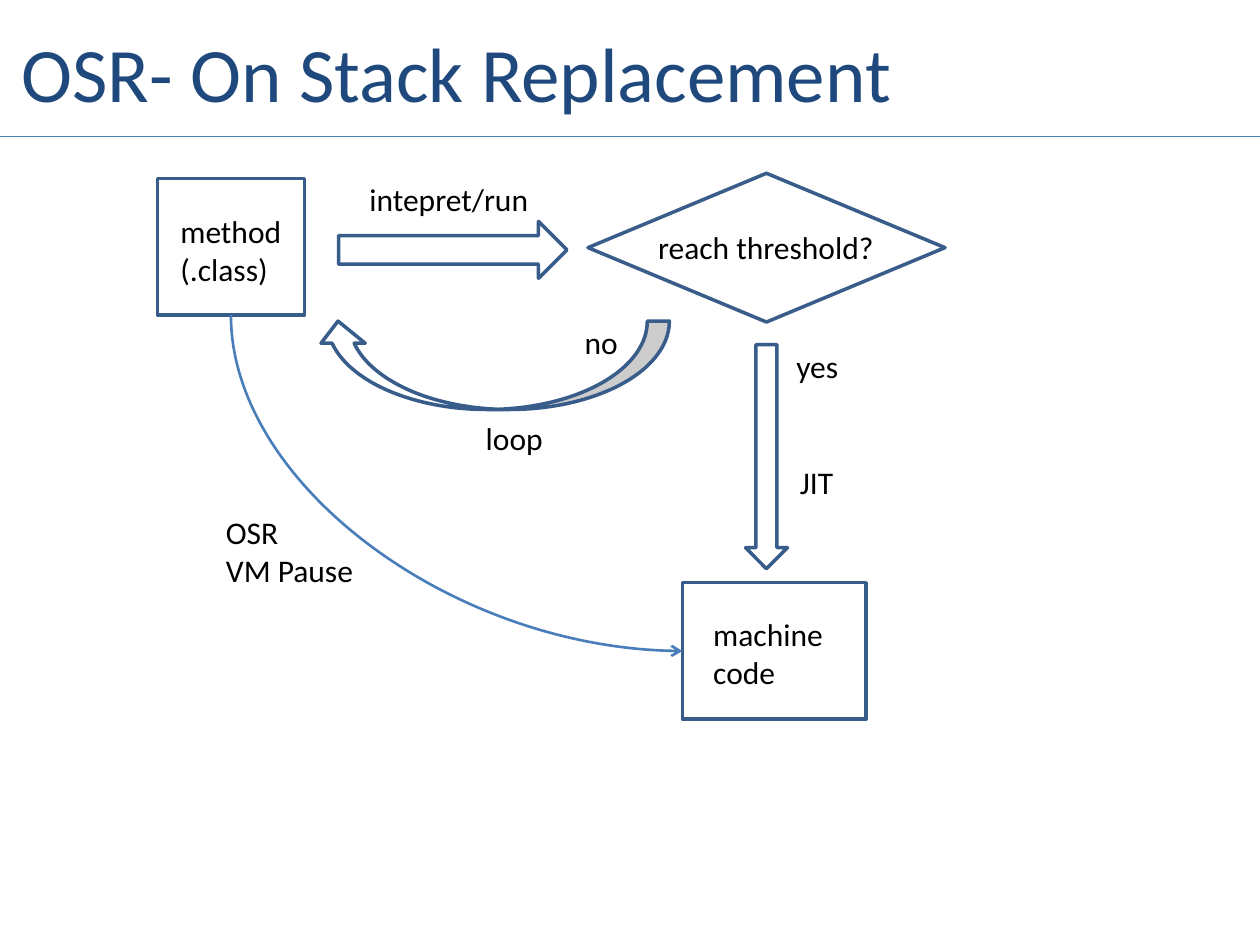
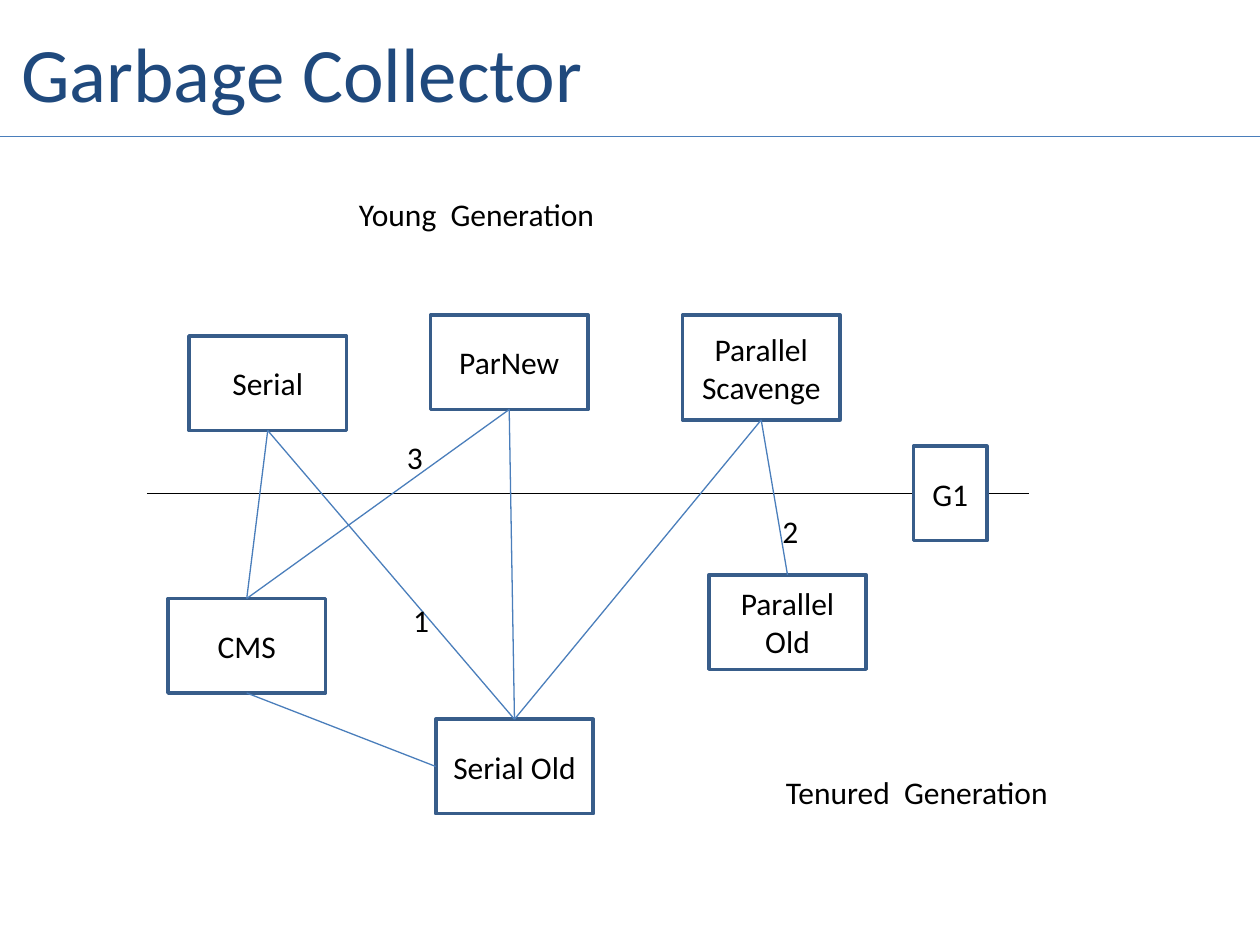
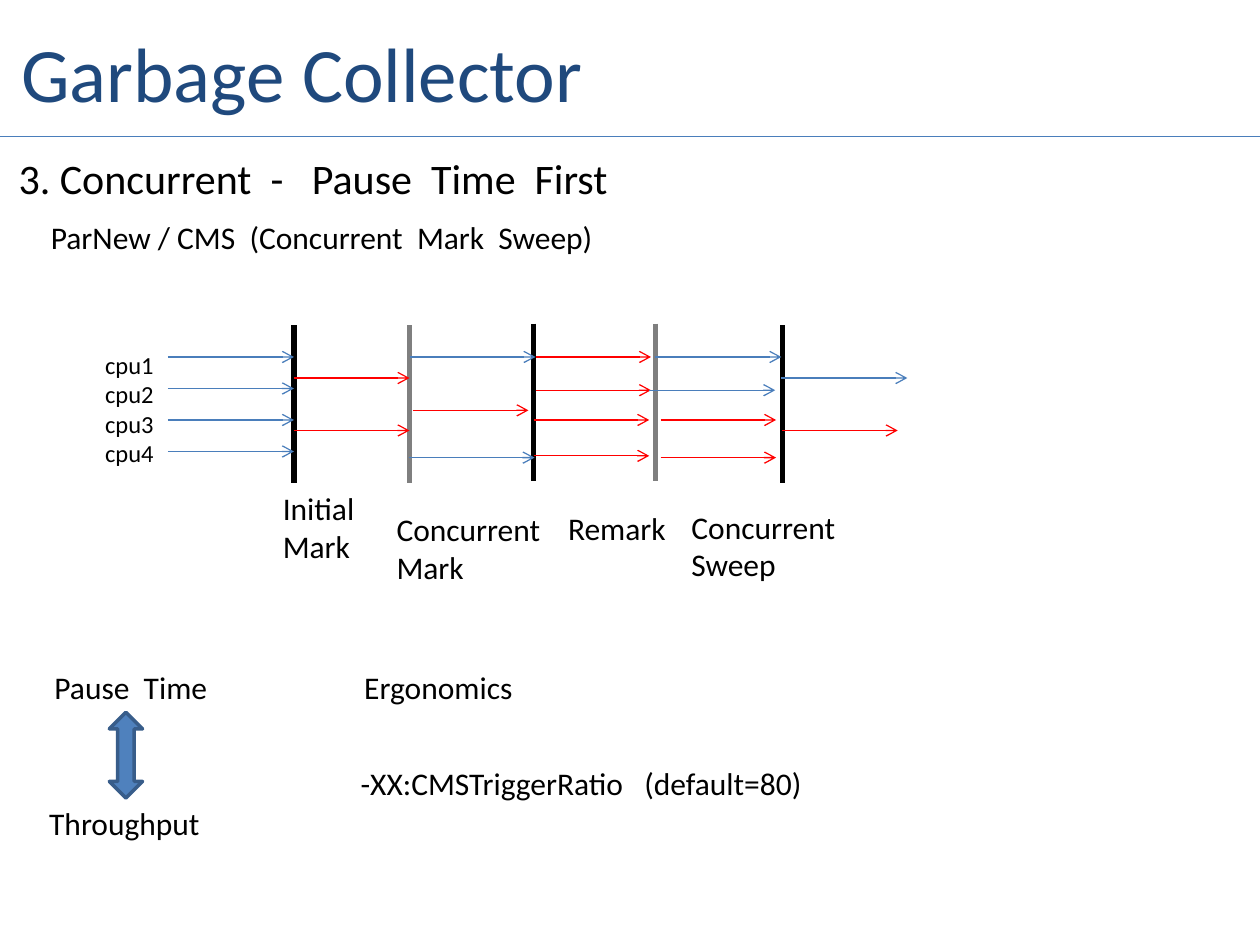
from dataclasses import dataclass

from lxml import etree
from pptx import Presentation
from pptx.dml.color import RGBColor
from pptx.enum import shapes, text
from pptx.oxml import ns
from pptx.util import Pt

FONT = "Calibri"
BLACK, WHITE, RED, GRAY = "000000", "FFFFFF", "FF0000", "7F7F7F"
TITLE_BLUE, LINE_BLUE, EDGE_BLUE, FILL_BLUE = "1F497D", "4A7EBB", "385D8A", "4F81BD"
Preset = shapes.MSO_SHAPE


@dataclass(frozen=True)
class Label:
    words: str
    left: float
    top: float
    width: float
    height: float = 29
    size: float = 18


@dataclass(frozen=True)
class Figure:
    left: float
    top: float
    width: float
    height: float
    words: str = ""
    preset: shapes.MSO_SHAPE = Preset.RECTANGLE
    fill: str = WHITE
    rotation: float = 0

    @property
    def top_mid(self) -> tuple[float, float]:
        return self.left + self.width / 2, self.top

    @property
    def bottom_mid(self) -> tuple[float, float]:
        return self.left + self.width / 2, self.top + self.height

    @property
    def left_mid(self) -> tuple[float, float]:
        return self.left, self.top + self.height / 2


@dataclass(frozen=True)
class Line:
    start: tuple[float, float]
    end: tuple[float, float]
    color: str = LINE_BLUE
    weight: float = 0.75
    arrow: bool = False


def rgb(color: str) -> RGBColor:
    return RGBColor.from_string(color)


def write(frame, words: str, size: float, color: str, align) -> None:
    frame.text = words
    frame.word_wrap = True
    for paragraph in frame.paragraphs:
        paragraph.alignment = align
        for run in paragraph.runs:
            run.font.name = FONT
            run.font.size = Pt(size)
            run.font.color.rgb = rgb(color)


def draw_label(slide, label: Label) -> None:
    box = slide.shapes.add_textbox(
        Pt(label.left), Pt(label.top), Pt(label.width), Pt(label.height))
    write(box.text_frame, label.words, label.size, BLACK, text.PP_ALIGN.LEFT)


def draw_figure(slide, figure: Figure) -> None:
    shape = slide.shapes.add_shape(
        figure.preset, Pt(figure.left), Pt(figure.top), Pt(figure.width), Pt(figure.height))
    shape.shadow.inherit = False
    shape.rotation = figure.rotation
    shape.fill.solid()
    shape.fill.fore_color.rgb = rgb(figure.fill)
    shape.line.color.rgb = rgb(EDGE_BLUE)
    shape.line.width = Pt(2)
    if figure.words:
        shape.text_frame.vertical_anchor = text.MSO_ANCHOR.MIDDLE
        write(shape.text_frame, figure.words, 18, BLACK, text.PP_ALIGN.CENTER)


def draw_line(slide, line: Line, kind=shapes.MSO_CONNECTOR.STRAIGHT):
    connector = slide.shapes.add_connector(
        kind, *(Pt(value) for value in (*line.start, *line.end)))
    connector.line.color.rgb = rgb(line.color)
    connector.line.width = Pt(line.weight)
    properties = connector._element.spPr
    if line.arrow:
        etree.SubElement(properties.find(ns.qn("a:ln")), ns.qn("a:tailEnd"), type="arrow")
    etree.SubElement(properties, ns.qn("a:effectLst"))
    return connector


def draw_bend(slide, line: Line) -> None:
    """Draw a quarter curve that leaves downwards and arrives from the left."""
    (x1, y1), (x2, y2) = line.start, line.end
    mid_x, mid_y = (x1 + x2) / 2, (y1 + y2) / 2
    half_width, half_height = (y2 - y1) / 2, (x2 - x1) / 2
    upright = Line((mid_x + half_width, mid_y - half_height),
                   (mid_x - half_width, mid_y + half_height),
                   line.color, line.weight, line.arrow)
    connector = draw_line(slide, upright, shapes.MSO_CONNECTOR.CURVE)
    properties = connector._element.spPr
    properties.find(ns.qn("a:xfrm")).set("rot", str(270 * 60000))
    properties.find(ns.qn("a:prstGeom")).set("prst", "curvedConnector2")


def add_titled_slide(deck, words: str):
    slide = deck.slides.add_slide(deck.slide_layouts[5])
    title = slide.shapes.title
    title.left, title.top, title.width, title.height = Pt(5), Pt(0), Pt(700), Pt(82)
    title.text_frame.vertical_anchor = text.MSO_ANCHOR.MIDDLE
    write(title.text_frame, words, 44, TITLE_BLUE, text.PP_ALIGN.LEFT)
    draw_line(slide, Line((0, 78), (720, 78)))
    return slide


def build_stack_replacement(deck) -> None:
    slide = add_titled_slide(deck, "OSR- On Stack Replacement")
    method = Figure(90, 102, 84, 78)
    machine_code = Figure(390, 333, 105, 78)
    for figure in (
        method,
        machine_code,
        Figure(336, 99, 204, 85, preset=Preset.DIAMOND),
        Figure(193.5, 126.5, 130.5, 32.5, preset=Preset.RIGHT_ARROW),
        Figure(180.5, 183.5, 202, 50.5, preset=Preset.CURVED_DOWN_ARROW, rotation=180),
        Figure(426, 197, 24, 128, preset=Preset.DOWN_ARROW),
    ):
        draw_figure(slide, figure)
    draw_bend(slide, Line(method.bottom_mid, machine_code.left_mid, weight=1.5, arrow=True))
    for label in (
        Label("method\n(.class)", 96, 117.5, 78, 50),
        Label("intepret/run", 204, 99.5, 123),
        Label("reach threshold?", 369, 126.5, 142),
        Label("no", 327, 181, 60),
        Label("yes", 448, 194.5, 60),
        Label("loop", 270.5, 236, 78),
        Label("JIT", 450, 261, 90),
        Label("machine\ncode", 400.5, 348, 86, 50),
        Label("OSR\nVM Pause", 122, 289.5, 104, 50),
    ):
        draw_label(slide, label)


def build_collector_pairs(deck) -> None:
    slide = add_titled_slide(deck, "Garbage Collector")
    draw_line(slide, Line((84, 282), (588, 282), BLACK))
    g1 = Figure(522, 255, 42, 54, "G1")
    par_new = Figure(246, 180, 90, 54, "ParNew")
    scavenge = Figure(390, 180, 90, 60, "Parallel\nScavenge")
    cms = Figure(96, 342, 90, 54, "CMS")
    serial_old = Figure(249, 411, 90, 54, "Serial Old")
    parallel_old = Figure(405, 328.5, 90, 54, "Parallel Old")
    serial = Figure(108, 192, 90, 54, "Serial")
    for collector in (g1, par_new, scavenge, cms, serial_old, parallel_old, serial):
        draw_figure(slide, collector)
    for young, tenured in (
        (serial, cms), (serial, serial_old),
        (par_new, cms), (par_new, serial_old),
        (scavenge, serial_old), (scavenge, parallel_old),
    ):
        draw_line(slide, Line(young.bottom_mid, tenured.top_mid))
    draw_line(slide, Line(cms.bottom_mid, serial_old.left_mid))
    for label in (
        Label("Young  Generation", 198, 108, 192),
        Label("Tenured  Generation", 442, 438, 192),
        Label("1", 229, 340, 30),
        Label("2", 440, 289, 30),
        Label("3", 225.5, 247, 30),
    ):
        draw_label(slide, label)


def build_concurrent_phases(deck) -> None:
    slide = add_titled_slide(deck, "Garbage Collector")
    for x, top, color in (
        (168, 186, BLACK), (234, 186, GRAY), (305, 185, BLACK),
        (374.5, 185, GRAY), (447, 186, BLACK),
    ):
        draw_line(slide, Line((x, top), (x, top + 90), color, 3))
    threads = [(96, 204 + 18 * cpu, LINE_BLUE) for cpu in range(4)] + [
        (168, 216, RED), (168, 246, RED),
        (234, 204, LINE_BLUE), (236, 234.5, RED), (233.5, 261.5, LINE_BLUE),
        (306, 204, RED), (306, 223, RED), (305, 240, RED), (305, 260.5, RED),
        (374.5, 204, LINE_BLUE), (371, 223, LINE_BLUE), (377.5, 240, RED), (377.5, 261.5, RED),
        (446.5, 216, LINE_BLUE), (447, 246, RED),
    ]
    lengths = {LINE_BLUE: 72, RED: 66}
    for x, y, color in threads:
        draw_line(slide, Line((x, y), (x + lengths[color], y), color, arrow=True))
    draw_figure(slide, Figure(62.5, 407, 19, 49, preset=Preset.UP_DOWN_ARROW, fill=FILL_BLUE))
    for label in (
        Label("3. Concurrent  -   Pause  Time  First", 3.5, 83.5, 417, 36, 24),
        Label("ParNew / CMS  (Concurrent  Mark  Sweep)", 22, 121, 476),
        Label("cpu1\ncpu2\ncpu3\ncpu4", 53, 196.5, 66, 75, 14),
        Label("Initial\nMark", 154.5, 276, 65, 50),
        Label("Concurrent\nMark", 219.5, 288, 101, 50),
        Label("Remark", 317.5, 287.5, 74),
        Label("Concurrent\nSweep", 388, 286.5, 101, 50),
        Label("Pause  Time", 24, 378, 163),
        Label("Throughput", 21, 456, 137),
        Label("-XX:CMSTriggerRatio   (default=80)", 199, 433, 310),
        Label("Ergonomics", 201, 378, 312),
    ):
        draw_label(slide, label)


def main() -> None:
    deck = Presentation()
    deck.slide_width, deck.slide_height = Pt(720), Pt(540)
    build_stack_replacement(deck)
    build_collector_pairs(deck)
    build_concurrent_phases(deck)
    deck.save("out.pptx")


if __name__ == "__main__":
    main()
